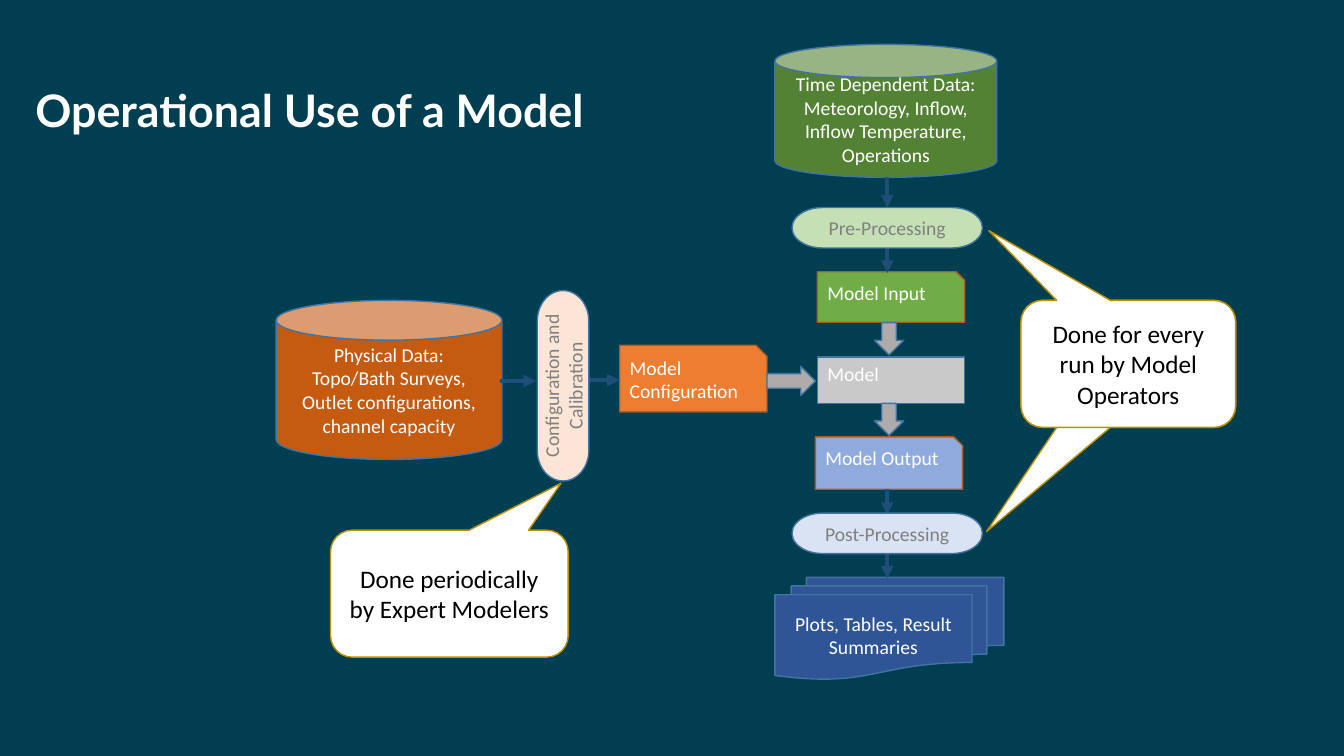
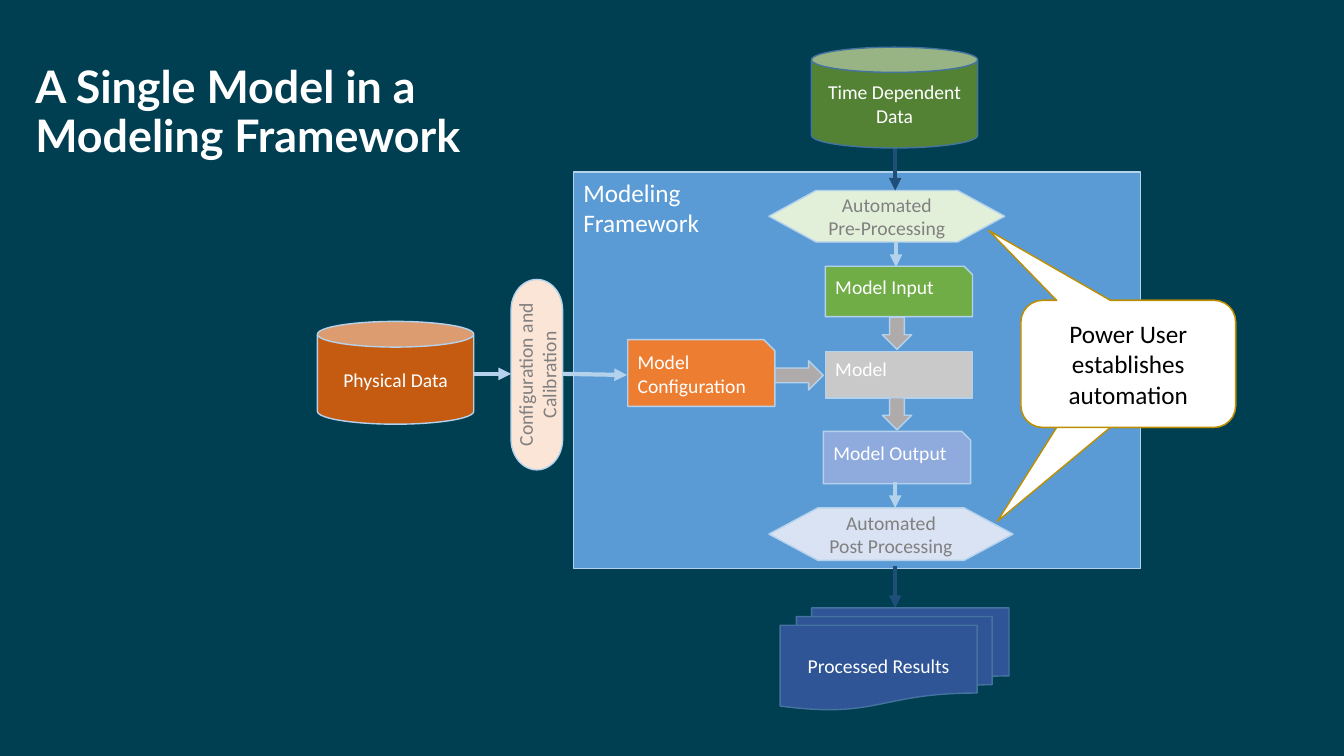
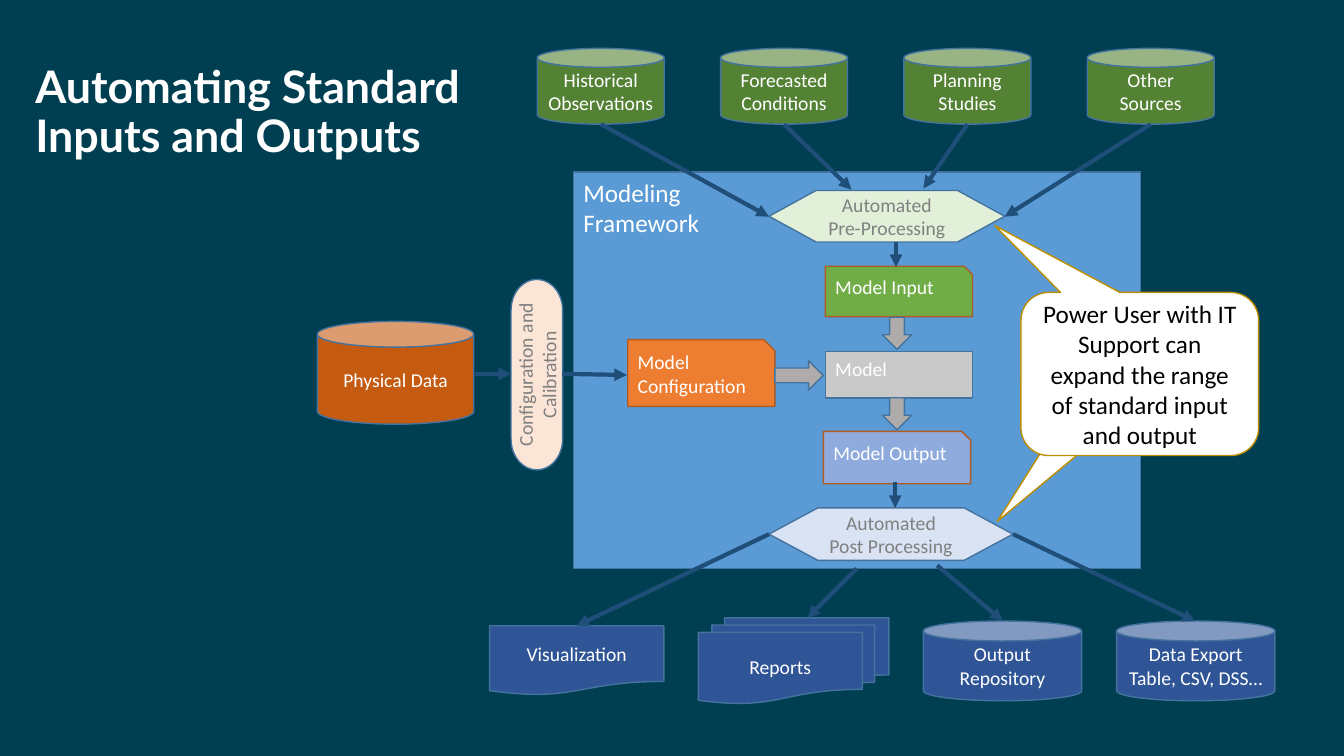
from dataclasses import dataclass, replace
from typing import NamedTuple

from lxml import etree
from pptx import Presentation
from pptx.dml.color import RGBColor
from pptx.enum.shapes import MSO_CONNECTOR, MSO_SHAPE
from pptx.enum.text import MSO_ANCHOR, PP_ALIGN
from pptx.oxml.ns import qn
from pptx.presentation import Presentation as Deck
from pptx.slide import Slide
from pptx.util import Cm, Pt

RECTANGLE = MSO_SHAPE.RECTANGLE
SNIPPED = MSO_SHAPE.SNIP_1_RECTANGLE
CAN = MSO_SHAPE.CAN
BLOCK_ARROW = MSO_SHAPE.RIGHT_ARROW
TERMINATOR = MSO_SHAPE.FLOWCHART_TERMINATOR
PREPARATION = MSO_SHAPE.FLOWCHART_PREPARATION
DOCUMENT = MSO_SHAPE.FLOWCHART_DOCUMENT
MULTIDOCUMENT = MSO_SHAPE.FLOWCHART_MULTIDOCUMENT
CALLOUT = MSO_SHAPE.ROUNDED_RECTANGULAR_CALLOUT
STRAIGHT = MSO_CONNECTOR.STRAIGHT
LEFT, CENTER = PP_ALIGN.LEFT, PP_ALIGN.CENTER
TOP, MIDDLE = MSO_ANCHOR.TOP, MSO_ANCHOR.MIDDLE

COLORS = {
    "background": "003E51",
    "white": "FFFFFF",
    "black": "000000",
    "process_text": "808080",
    "steel": "43739E",
    "rust": "AF5C24",
    "pale_blue": "B5D2EC",
    "gold": "BD8E00",
    "navy": "1F4E79",
    "framework": "5B9BD5",
    "time_data": "548235",
    "physical_data": "C55A11",
    "results": "2F5597",
    "model": "C9C9C9",
    "configuration": "ED7D31",
    "input": "70AD47",
    "output": "8FAADC",
    "block_arrow": "AFABAB",
    "manual_pre": "C5E0B4",
    "automated_pre": "E2F0D9",
    "post": "DAE3F3",
    "calibration": "FBE5D6",
}
BODY_FONT, TITLE_FONT = "Calibri", "Lato"


class Box(NamedTuple):
    """Left, top, width and height in centimetres."""
    left: float
    top: float
    width: float
    height: float


class Arrow(NamedTuple):
    """Start and end point in centimetres."""
    x1: float
    y1: float
    x2: float
    y2: float


class Scheme(NamedTuple):
    outline: str
    card_outline: str
    arrow: str


@dataclass(frozen=True)
class Node:
    kind: MSO_SHAPE
    box: Box
    fill: str
    text: str = ""
    outline: str = "steel"
    color: str = "white"
    size: int = 14
    centered: bool = True
    rotation: int = 0
    adjustments: tuple[float, ...] = ()


STANDARD = Scheme("steel", "rust", "navy")
PALE = Scheme("pale_blue", "pale_blue", "pale_blue")

MODEL_CORE = (
    Node(RECTANGLE, Box(20.8, 8.86, 3.71, 1.17), "model", "Model", centered=False),
    Node(SNIPPED, Box(15.82, 8.56, 3.71, 1.68), "configuration",
         "Model Configuration", centered=False),
    Node(SNIPPED, Box(20.8, 6.71, 3.71, 1.27), "input", "Model Input", centered=False),
    Node(SNIPPED, Box(20.75, 10.87, 3.71, 1.32), "output", "Model Output",
         centered=False),
    Node(BLOCK_ARROW, Box(19.53, 9.09, 1.22, 0.74), "block_arrow"),
    Node(BLOCK_ARROW, Box(22.2, 10.06, 0.81, 0.74), "block_arrow", rotation=90),
    Node(BLOCK_ARROW, Box(22.2, 8.03, 0.81, 0.74), "block_arrow", rotation=90),
)


def rgb(name: str) -> RGBColor:
    return RGBColor.from_string(COLORS[name])


def add_node(slide: Slide, node: Node) -> None:
    shape = slide.shapes.add_shape(node.kind, *map(Cm, node.box))
    shape.shadow.inherit = False
    shape.rotation = node.rotation
    for index, value in enumerate(node.adjustments):
        shape.adjustments[index] = value
    shape.fill.solid()
    shape.fill.fore_color.rgb = rgb(node.fill)
    shape.line.color.rgb = rgb(node.outline)
    shape.line.width = Pt(1)
    if not node.text:
        return
    frame = shape.text_frame
    frame.word_wrap = True
    frame.vertical_anchor = MIDDLE if node.centered else TOP
    frame.text = node.text
    for paragraph in frame.paragraphs:
        paragraph.alignment = CENTER if node.centered else LEFT
        paragraph.font.name = BODY_FONT
        paragraph.font.size = Pt(node.size)
        paragraph.font.color.rgb = rgb(node.color)


def add_arrow(slide: Slide, arrow: Arrow, color: str = "navy") -> None:
    connector = slide.shapes.add_connector(STRAIGHT, *map(Cm, arrow))
    connector.line.color.rgb = rgb(color)
    connector.line.width = Pt(3)
    properties = connector.element.spPr
    etree.SubElement(properties.find(qn("a:ln")), qn("a:tailEnd"), type="triangle")
    etree.SubElement(properties, qn("a:effectLst"))


def add_title(slide: Slide, text: str, width: float) -> None:
    frame = slide.shapes.add_textbox(Cm(0.64), Cm(1.02), Cm(width), Cm(3.68)).text_frame
    frame.word_wrap = True
    frame.vertical_anchor = MIDDLE
    frame.text = text
    paragraph = frame.paragraphs[0]
    paragraph.line_spacing = 0.9
    paragraph.font.name = TITLE_FONT
    paragraph.font.size = Pt(32)
    paragraph.font.bold = True
    paragraph.font.color.rgb = rgb("white")


def add_callout(slide: Slide, box: Box, tip: tuple[float, float], text: str = "") -> None:
    """Draw a balloon whose tip is given in fractions of its size from its centre."""
    add_node(slide, Node(CALLOUT, box, "white", text, "gold", "black", 18,
                         adjustments=(*tip, 0.17)))


def add_process(slide: Slide, kind: MSO_SHAPE, box: Box, fill: str, text: str,
                outline: str = "steel", rotation: int = 0) -> None:
    add_node(slide, Node(kind, box, fill, text, outline, "process_text",
                         rotation=rotation))


def add_calibration(slide: Slide, left: float, top: float, outline: str) -> None:
    add_process(slide, TERMINATOR, Box(left, top, 4.8, 1.3), "calibration",
                "Configuration and Calibration", outline, 270)


def add_model_core(slide: Slide, scheme: Scheme, dx: float = 0, dy: float = 0) -> None:
    for node in MODEL_CORE:
        left, top, width, height = node.box
        outline = scheme.card_outline if node.kind == SNIPPED else scheme.outline
        add_node(slide, replace(node, box=Box(left + dx, top + dy, width, height),
                                outline=outline))


def add_framework(slide: Slide, scheme: Scheme) -> None:
    """Draw the framework panel with the model inside and its physical data."""
    outline = scheme.outline
    add_node(slide, Node(RECTANGLE, Box(14.45, 4.34, 14.3, 9.98), "framework",
                         "Modeling\nFramework", outline, size=18, centered=False))
    add_process(slide, PREPARATION, Box(19.38, 4.8, 5.94, 1.3), "automated_pre",
                "Automated Pre-Processing", outline)
    add_process(slide, PREPARATION, Box(19.38, 12.8, 6.15, 1.32), "post",
                "Automated Post Processing", outline)
    add_model_core(slide, scheme)
    add_calibration(slide, 11.13, 8.79, outline)
    add_node(slide, Node(CAN, Box(8, 8.1, 3.94, 2.59), "physical_data",
                         "Physical Data", outline))
    for arrow in (
        Arrow(22.58, 6.1, 22.58, 6.73),
        Arrow(22.56, 12.14, 22.56, 12.8),
        Arrow(11.94, 9.42, 12.88, 9.42),
        Arrow(14.17, 9.42, 15.8, 9.45),
    ):
        add_arrow(slide, arrow, scheme.arrow)


def build_operational_use(slide: Slide) -> None:
    add_title(slide, "Operational Use of a Model", 32.51)
    operators_box = Box(25.73, 7.57, 5.41, 3.2)
    add_callout(slide, operators_box, (-0.66, 1.32))
    add_callout(slide, operators_box, (-0.65, -1.05),
                "Done for every run by Model Operators")
    add_model_core(slide, STANDARD, dx=-0.2, dy=0.14)
    for node in (
        Node(CAN, Box(19.53, 1.12, 5.59, 3.35), "time_data",
             "Time Dependent Data:\nMeteorology, Inflow, Inflow Temperature, Operations"),
        Node(CAN, Box(6.96, 7.57, 5.69, 4.01), "physical_data",
             "Physical Data:\nTopo/Bath Surveys, Outlet configurations, channel capacity"),
        Node(MULTIDOCUMENT, Box(19.53, 14.55, 5.77, 2.57), "results",
             "Plots, Tables, Result Summaries"),
    ):
        add_node(slide, node)
    for start, end in ((4.47, 5.23), (6.22, 6.88), (12.32, 12.98), (13.92, 14.58)):
        add_arrow(slide, Arrow(22.36, start, 22.36, end))
    add_arrow(slide, Arrow(12.6, 9.6, 13.51, 9.6))
    add_arrow(slide, Arrow(14.83, 9.58, 15.62, 9.58))
    add_process(slide, TERMINATOR, Box(19.96, 5.23, 4.8, 1.02), "manual_pre",
                "Pre-Processing")
    add_process(slide, TERMINATOR, Box(19.96, 12.93, 4.8, 1.02), "post",
                "Post-Processing")
    add_calibration(slide, 11.79, 9.07, "steel")
    add_callout(slide, Box(8.33, 13.36, 5.99, 3.2), (0.47, -0.87),
                "Done periodically by Expert Modelers")


def build_single_model(slide: Slide) -> None:
    add_title(slide, "A Single Model in a Modeling Framework", 14.3)
    add_framework(slide, PALE)
    add_arrow(slide, Arrow(22.56, 3.73, 22.56, 4.8))
    add_node(slide, Node(CAN, Box(20.45, 1.19, 4.19, 2.54), "time_data",
                         "Time Dependent Data"))
    add_arrow(slide, Arrow(22.56, 14.25, 22.56, 15.32))
    add_node(slide, Node(MULTIDOCUMENT, Box(19.66, 15.32, 5.77, 2.57), "results",
                         "Processed Results"))
    user_box = Box(25.73, 7.57, 5.41, 3.2)
    add_callout(slide, user_box, (-0.61, 1.24))
    add_callout(slide, user_box, (-0.65, -1.05), "Power User establishes automation")


def build_standard_inputs(slide: Slide) -> None:
    add_framework(slide, STANDARD)
    add_title(slide, "Automating Standard Inputs and Outputs", 12.85)

    sources = (
        ("Historical Observations", (19.38, 5.46)),
        ("Forecasted Conditions", (21.46, 4.78)),
        ("Planning Studies", (23.27, 4.75)),
        ("Other Sources", (25.32, 5.46)),
    )
    can_width, can_pitch = 3.2, 4.62
    for index, (text, target) in enumerate(sources):
        left = 13.54 + index * can_pitch
        add_node(slide, Node(CAN, Box(left, 1.22, can_width, 1.91), "time_data", text))
        add_arrow(slide, Arrow(left + can_width / 2, 3.13, *target))

    products = (
        (DOCUMENT, Box(12.34, 15.77, 4.39, 1.75), "Visualization",
         Arrow(19.38, 13.46, 14.53, 15.77)),
        (MULTIDOCUMENT, Box(17.6, 15.57, 4.8, 2.16), "Reports",
         Arrow(21.59, 14.33, 20.35, 15.57)),
        (CAN, Box(23.27, 15.65, 3.99, 2.01), "Output Repository",
         Arrow(23.62, 14.25, 25.27, 15.65)),
        (CAN, Box(28.14, 15.65, 3.99, 2.01), "Data Export\nTable, CSV, DSS…",
         Arrow(25.53, 13.46, 30.12, 15.65)),
    )
    for kind, box, text, arrow in products:
        add_node(slide, Node(kind, box, "results", text))
        add_arrow(slide, arrow)

    add_callout(slide, Box(25.73, 7.57, 5.41, 3.2), (-0.61, 1.24))
    add_callout(slide, Box(25.73, 7.37, 5.99, 4.11), (-0.61, -0.91),
                "Power User with IT Support can expand the range of "
                "standard input and output")


def set_background(presentation: Deck) -> None:
    fill = presentation.slide_master.background.fill
    fill.solid()
    fill.fore_color.rgb = rgb("background")


def main() -> None:
    presentation = Presentation()
    presentation.slide_width = Cm(33.87)
    presentation.slide_height = Cm(19.05)
    set_background(presentation)
    blank_layout = presentation.slide_layouts[6]
    for build in (build_operational_use, build_single_model, build_standard_inputs):
        build(presentation.slides.add_slide(blank_layout))
    presentation.save("out.pptx")


if __name__ == "__main__":
    main()
